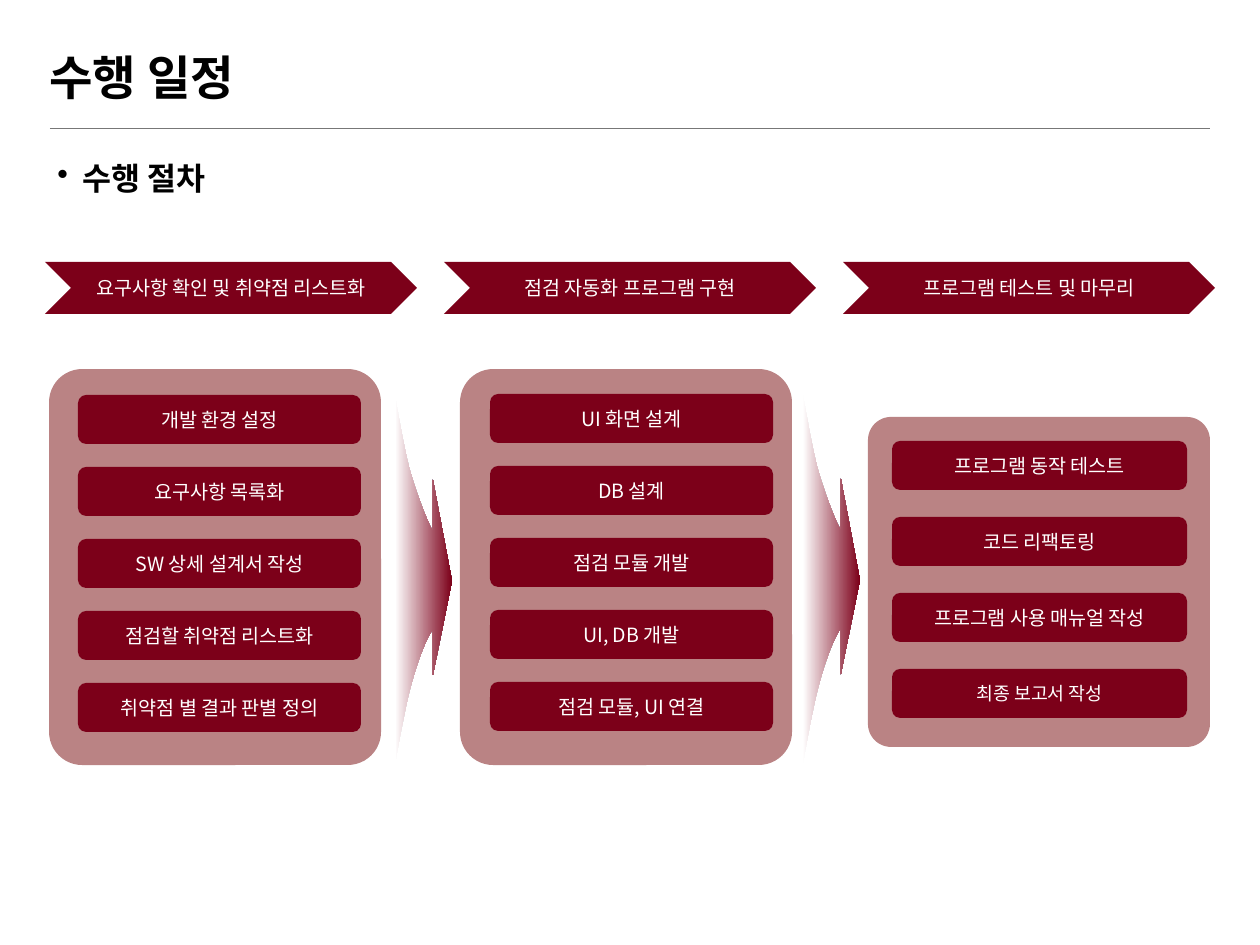
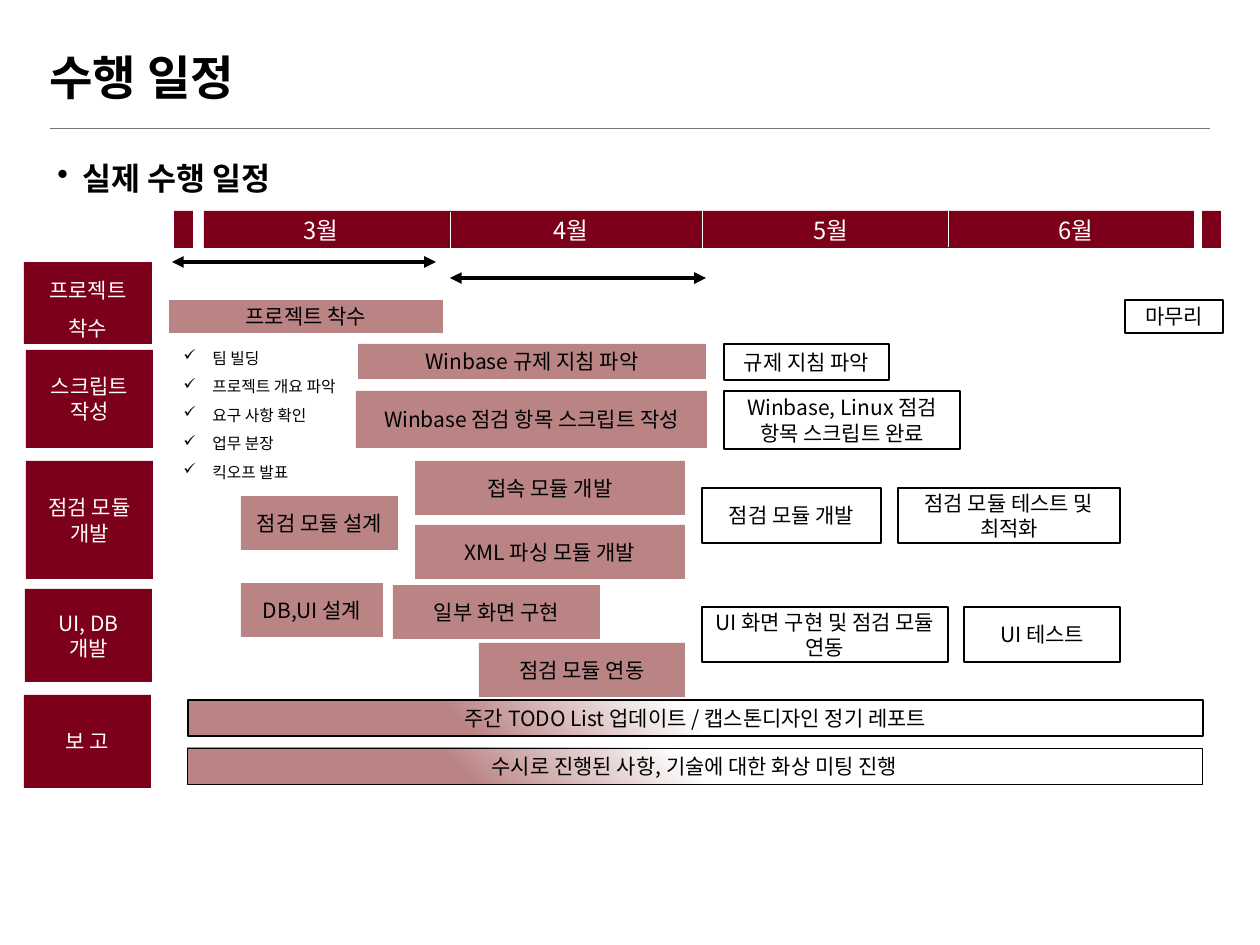
"""Build two project schedule slides: the procedure and the actual timeline."""
from lxml import etree
from pptx import Presentation
from pptx.dml.color import RGBColor
from pptx.enum.shapes import MSO_CONNECTOR, MSO_SHAPE
from pptx.enum.text import MSO_ANCHOR, PP_ALIGN
from pptx.oxml.ns import qn
from pptx.util import Pt

SCALE = 914400 / 126
PAGE_SIZE = (1260, 945)
FONT = "Noto Sans CJK KR"
TITLE_FONT = "Arial"

WINE = RGBColor(0x7C, 0x00, 0x19)
ROSE = RGBColor(0xBA, 0x83, 0x84)
WHITE = RGBColor(0xFF, 0xFF, 0xFF)
BLACK = RGBColor(0x00, 0x00, 0x00)
GRAY = RGBColor(0x77, 0x77, 0x77)

RECTANGLE = MSO_SHAPE.RECTANGLE
ROUNDED = MSO_SHAPE.ROUNDED_RECTANGLE
CHEVRON = MSO_SHAPE.CHEVRON
STRAIGHT = MSO_CONNECTOR.STRAIGHT
MIDDLE, TOP = MSO_ANCHOR.MIDDLE, MSO_ANCHOR.TOP
CENTER, LEFT = PP_ALIGN.CENTER, PP_ALIGN.LEFT

TITLE = "수행 일정"

PHASES = ["요구사항 확인 및 취약점 리스트화", "점검 자동화 프로그램 구현", "프로그램 테스트 및 마무리"]
PANELS = [
    {"at": (49, 369, 332, 396), "round": 0.1, "first": (78, 395, 283, 49), "pitch": 72,
     "tasks": ["개발 환경 설정", "요구사항 목록화", "SW 상세 설계서 작성",
               "점검할 취약점 리스트화", "취약점 별 결과 판별 정의"]},
    {"at": (460, 369, 332, 396), "round": 0.1, "first": (490, 394, 283, 49), "pitch": 72,
     "tasks": ["UI 화면 설계", "DB 설계", "점검 모듈 개발", "UI, DB 개발", "점검 모듈, UI 연결"]},
    {"at": (868, 417, 342, 330), "round": 0.07, "first": (892, 441, 295, 49), "pitch": 76,
     "tasks": ["프로그램 동작 테스트", "코드 리팩토링", "프로그램 사용 매뉴얼 작성", "최종 보고서 작성"]},
]
SMALL_TASK = "최종 보고서 작성"
FLOW_ARROWS = [(388, 358), (796, 357)]
UPPER_CURVES = [[(0, 0), (4, 19), (14, 81), (21, 109)],
                [(21, 109), (29, 138), (42, 170), (45, 173)]]
ARROW_HEAD = [(45, 122), (64, 223), (45, 317)]
LOWER_CURVES = [[(45, 272), (42, 273), (32, 295), (24, 324)],
                [(24, 324), (16, 351), (5, 419), (0, 445)]]

MONTH_BAND = [(174, 19), (204, 990), (1202, 19)]
MONTHS = [("3월", 291), ("4월", 541), ("5월", 801), ("6월", 1046)]
MONTH_BREAKS = [(450, 212), (702, 210), (948, 208)]
SPANS = [(172, 436, 262), (450, 706, 278)]
STAGES = [
    (["프로젝트", "착수"], (24, 262, 128, 82), 1.5),
    (["스크립트", "작성"], (26, 350, 127, 98), 1),
    (["점검 모듈", "개발"], (26, 461, 127, 118), 1),
    (["UI, DB", "개발"], (25, 589, 127, 93), 1),
    (["보 고"], (24, 695, 127, 93), 1),
]
DONE = [
    ("프로젝트 착수", (169, 300, 274, 33)),
    ("Winbase 규제 지침 파악", (358, 344, 348, 35)),
    ("Winbase 점검 항목 스크립트 작성", (356, 391, 351, 57)),
    ("접속 모듈 개발", (415, 461, 270, 54)),
    ("XML 파싱 모듈 개발", (415, 525, 270, 54)),
    ("점검 모듈 설계", (241, 496, 157, 54)),
    ("DB,UI 설계", (241, 583, 142, 54)),
    ("일부 화면 구현", (393, 585, 207, 54)),
    ("점검 모듈 연동", (479, 643, 206, 54)),
]
PLANNED = [
    (["마무리"], (1125, 300, 98, 33)),
    (["규제 지침 파악"], (724, 344, 165, 36)),
    (["Winbase, Linux 점검 항목 스크립트 완료"], (724, 391, 236, 58)),
    (["점검 모듈 개발"], (702, 488, 179, 55)),
    (["점검 모듈 테스트 및", "최적화"], (898, 488, 222, 55)),
    (["UI 화면 구현 및 점검 모듈 연동"], (702, 607, 246, 55)),
    (["UI 테스트"], (964, 607, 156, 55)),
]
REPORTS = [
    ("주간 TODO List 업데이트 / 캡스톤디자인 정기 레포트", (188, 700, 1015, 36), 0.75),
    ("수시로 진행된 사항, 기술에 대한 화상 미팅 진행", (187, 748, 1015, 36), 0.25),
]
KICKOFF = ["팀 빌딩", "프로젝트 개요 파악", "요구 사항 확인", "업무 분장", "킥오프 발표"]


def emu(*lengths):
    return [round(length * SCALE) for length in lengths]


def write(box, lines, size, color, align=CENTER, anchor=MIDDLE, spacing=1,
          bold=False, bullet=None, indent=0, font=FONT):
    frame = box.text_frame
    frame.word_wrap = True
    frame.vertical_anchor = anchor
    for index, line in enumerate(lines):
        para = frame.add_paragraph() if index else frame.paragraphs[0]
        para.alignment = align
        para.line_spacing = spacing
        if bullet:
            properties = para._p.get_or_add_pPr()
            hang = emu(indent)[0]
            properties.set("marL", str(hang))
            properties.set("indent", str(-hang))
            etree.SubElement(properties, qn("a:buChar")).set("char", bullet)
        span = para.add_run()
        span.text = line
        span.font.size = Pt(size)
        span.font.bold = bold
        span.font.color.rgb = color
        span.font.name = font
        etree.SubElement(span._r.get_or_add_rPr(), qn("a:ea")).set("typeface", FONT)


def add_text(page, at, lines, size, color, **style):
    write(page.shapes.add_textbox(*emu(*at)), lines, size, color, **style)


def add_block(page, kind, at, fill=None, border=0):
    block = page.shapes.add_shape(kind, *emu(*at))
    block.shadow.inherit = False
    if fill is None:
        block.fill.background()
    else:
        block.fill.solid()
        block.fill.fore_color.rgb = fill
    if border:
        block.line.color.rgb = BLACK
        block.line.width = Pt(border)
    else:
        block.line.fill.background()
    return block


def add_line(page, ends, color, width, arrows=False):
    line = page.shapes.add_connector(STRAIGHT, *emu(*ends))
    line.line.color.rgb = color
    line.line.width = Pt(width)
    if arrows:
        outline = line.line._get_or_add_ln()
        for end in ("a:headEnd", "a:tailEnd"):
            etree.SubElement(outline, qn(end)).set("type", "triangle")
    etree.SubElement(line._element.spPr, qn("a:effectLst"))


def blend(shape, stops):
    shape.fill.gradient()
    shape.fill.gradient_angle = 0
    for stop, (position, color) in zip(shape.fill.gradient_stops, stops):
        stop.position = position
        stop.color.rgb = color


def blend_from_corner(shape, stops):
    blend(shape, stops)
    gradient = shape._element.spPr.find(qn("a:gradFill"))
    linear = gradient.find(qn("a:lin"))
    circle = etree.Element(qn("a:path"), path="circle")
    etree.SubElement(circle, qn("a:fillToRect"), t="100000", r="100000")
    gradient.replace(linear, circle)


def curve_points(curve, steps=12):
    for step in range(steps + 1):
        t = step / steps
        weights = ((1 - t) ** 3, 3 * t * (1 - t) ** 2, 3 * t * t * (1 - t), t ** 3)
        yield tuple(sum(w * point[axis] for w, point in zip(weights, curve)) for axis in (0, 1))


def add_flow_arrow(page, left, top):
    upper = [point for curve in UPPER_CURVES for point in curve_points(curve)]
    lower = [point for curve in LOWER_CURVES for point in curve_points(curve)]
    outline = [emu(left + x, top + y) for x, y in upper + ARROW_HEAD + lower]
    builder = page.shapes.build_freeform(*outline[0])
    builder.add_line_segments(outline[1:], close=True)
    arrow = builder.convert_to_shape()
    arrow.shadow.inherit = False
    arrow.line.fill.background()
    blend(arrow, [(0.11, WHITE), (1, WINE)])


def add_page(deck, heading):
    page = deck.slides.add_slide(deck.slide_layouts[6])
    add_line(page, (50, 128, 1210, 128), GRAY, 0.5)
    add_text(page, (37, 32, 1186, 96), [TITLE], 27, BLACK, align=LEFT,
             spacing=0.9, bold=True, font=TITLE_FONT)
    add_text(page, (45, 149, 1178, 745), [heading], 18, BLACK, align=LEFT, anchor=TOP,
             spacing=1.1, bold=True, bullet="•", indent=25)
    return page


def build_procedure(deck):
    page = add_page(deck, "수행 절차")
    for index, phase in enumerate(PHASES):
        write(add_block(page, CHEVRON, (45 + 399 * index, 262, 372, 52), WINE),
              [phase], 11.2, WHITE)
    for panel in PANELS:
        back = add_block(page, ROUNDED, panel["at"], ROSE)
        back.adjustments[0] = panel["round"]
        left, top, width, height = panel["first"]
        for index, task in enumerate(panel["tasks"]):
            at = (left, top + index * panel["pitch"], width, height)
            size = 10.5 if task == SMALL_TASK else 11.2
            write(add_block(page, ROUNDED, at, WINE), [task], size, WHITE)
    for left, top in FLOW_ARROWS:
        add_flow_arrow(page, left, top)


def build_timeline(deck):
    page = add_page(deck, "실제 수행 일정")
    for left, width in MONTH_BAND:
        add_block(page, RECTANGLE, (left, 211, width, 37), WINE)
    for month, left in MONTHS:
        add_text(page, (left, 210, 80, 42), [month], 13.5, WHITE, align=LEFT, anchor=TOP)
    for x, top in MONTH_BREAKS:
        add_line(page, (x, top, x, top + 39), WHITE, 0.5)
    for start, end, y in SPANS:
        add_line(page, (start, y, end, y), BLACK, 2.25, arrows=True)
    for lines, at, spacing in STAGES:
        write(add_block(page, RECTANGLE, at, WINE), lines, 12, WHITE, spacing=spacing)
    add_text(page, (171, 333, 189, 152), KICKOFF, 9, BLACK, align=LEFT, anchor=TOP,
             spacing=1.5, bullet="✓", indent=29)
    for task, at in DONE:
        write(add_block(page, RECTANGLE, at, ROSE), [task], 12, BLACK)
    for lines, at in PLANNED:
        write(add_block(page, RECTANGLE, at, border=1.5), lines, 12, BLACK)
    for report, at, border in REPORTS:
        bar = add_block(page, RECTANGLE, at, border=border)
        blend_from_corner(bar, [(0.27, ROSE), (0.5, WHITE)])
        write(bar, [report], 12, BLACK)


def main():
    deck = Presentation()
    deck.slide_width, deck.slide_height = emu(*PAGE_SIZE)
    build_procedure(deck)
    build_timeline(deck)
    deck.save("out.pptx")


if __name__ == "__main__":
    main()
